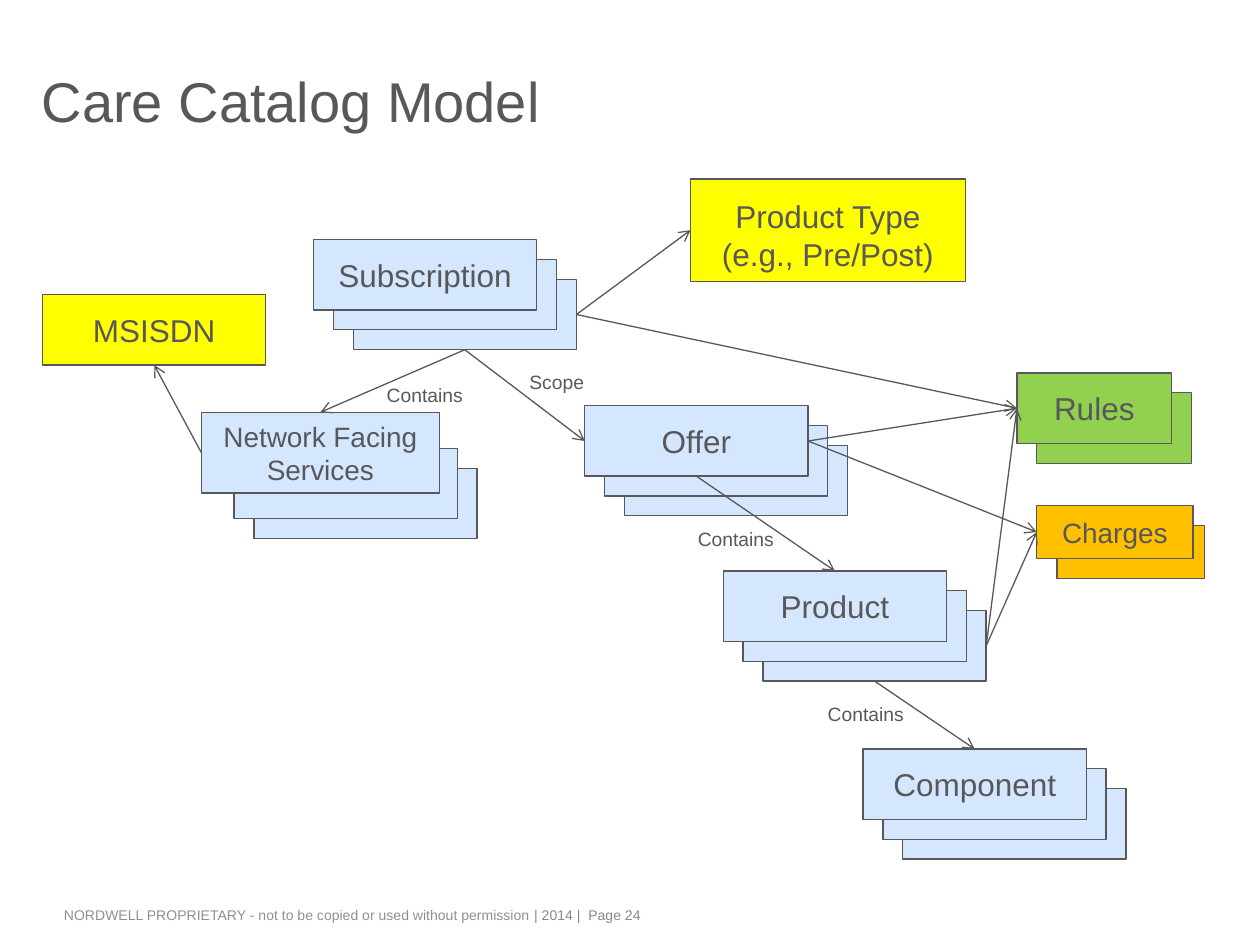
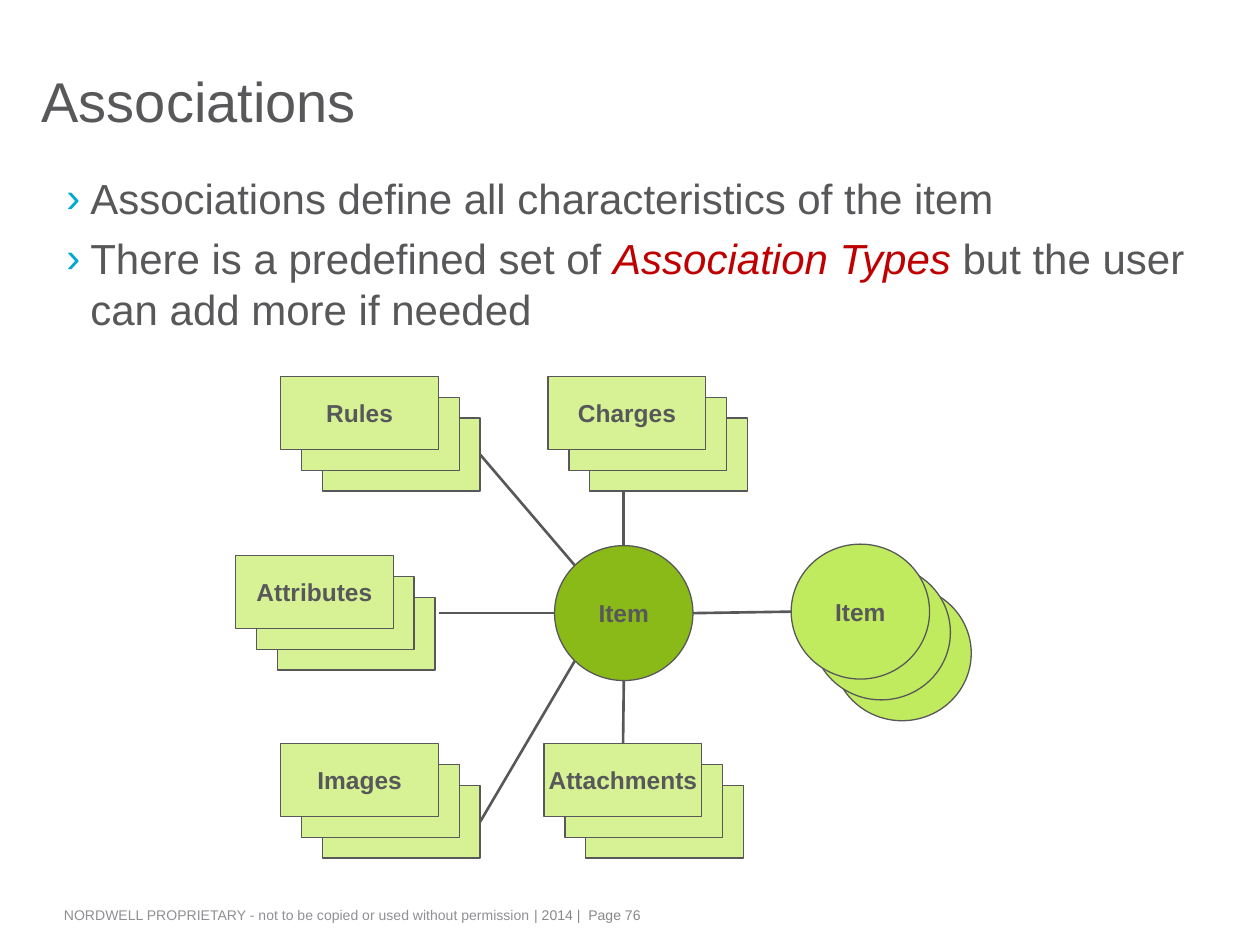
import math
from dataclasses import dataclass
from typing import NamedTuple, Optional, Union

from lxml import etree
from pptx import Presentation
from pptx import util as u
from pptx.dml.color import RGBColor
from pptx.enum import shapes, text
from pptx.oxml.ns import qn
from pptx.shapes.autoshape import Shape
from pptx.slide import Slide

FONT = "Arial"
INK = "58585A"
FOOTER_INK = "8F9093"
PAGE_INK = "87888A"
BULLET_INK = "00A9D4"
ACCENT = "C00000"
BLUE, YELLOW, GREEN, ORANGE = "D5E7FF", "FFFF00", "92D050", "FFC000"
LIME, LIGHT_GREEN, DARK_GREEN = "D6F294", "C1EB5E", "89BA17"
RECT, OVAL = shapes.MSO_SHAPE.RECTANGLE, shapes.MSO_SHAPE.OVAL
TOP, LEFT, BOTTOM, RIGHT = range(4)
TITLE_AND_BODY, TITLE_ONLY = 1, 5


class Box(NamedTuple):
    """Left, top, width and height in centimetres."""

    left: float
    top: float
    width: float
    height: float

    def lengths(self) -> tuple[u.Length, ...]:
        """Return the four values as lengths."""
        return tuple(u.Cm(value) for value in self)

    def shifted(self, step: float) -> "Box":
        """Return the box moved right and down by one step."""
        return self._replace(left=self.left + step, top=self.top + step)


@dataclass
class Stack:
    """A labelled card with further cards cascading behind it."""

    label: str
    front: Box
    fill: str
    count: int = 3
    step: float = 0.4
    size: float = 18
    bold: bool = False
    kind: shapes.MSO_SHAPE = RECT
    first_back: Optional[Box] = None


class DrawnStack(NamedTuple):
    """The front and rearmost cards of a drawn stack."""

    front: Shape
    back: Shape


class Joint(NamedTuple):
    """The middle of one side of a rectangle."""

    shape: Shape
    side: int


class Point(NamedTuple):
    """A free line end."""

    x: int
    y: int


class Note(NamedTuple):
    """A small caption beside a connector."""

    label: str
    left: float
    top: float


End = Union[Joint, Point]


def colour(value: str) -> RGBColor:
    """Turn a hex string into a colour."""
    return RGBColor.from_string(value)


def style_font(font, size: float, ink: str = INK, bold: bool = False) -> None:
    """Apply the deck font."""
    font.name, font.size, font.bold = FONT, u.Pt(size), bold
    font.color.rgb = colour(ink)


def set_frame(frame, anchor, side: float = 0, edge: float = 0) -> None:
    """Set wrapping, anchoring and insets of a text frame."""
    frame.word_wrap = True
    frame.auto_size = text.MSO_AUTO_SIZE.NONE
    frame.vertical_anchor = anchor
    frame.margin_left = frame.margin_right = u.Cm(side)
    frame.margin_top = frame.margin_bottom = u.Cm(edge)


def place(shape, box: Box) -> None:
    """Move and size a shape."""
    shape.left, shape.top, shape.width, shape.height = box.lengths()


def write_centred(shape: Shape, label: str, size: float, bold: bool = False) -> None:
    """Write a centred label in a shape."""
    set_frame(shape.text_frame, text.MSO_ANCHOR.MIDDLE)
    para = shape.text_frame.paragraphs[0]
    para.text = label
    para.alignment = text.PP_ALIGN.CENTER
    style_font(para.font, size, bold=bold)


def add_card(page: Slide, kind, box: Box, fill: str) -> Shape:
    """Draw one outlined card."""
    card = page.shapes.add_shape(kind, *box.lengths())
    card.shadow.inherit = False
    card.fill.solid()
    card.fill.fore_color.rgb = colour(fill)
    card.line.color.rgb = colour(INK)
    card.line.width = u.Pt(0.75)
    return card


def draw_stack(page: Slide, stack: Stack) -> DrawnStack:
    """Draw a stack from its rearmost card to its labelled front."""
    boxes = [stack.front]
    for index in range(1, stack.count):
        following = boxes[-1].shifted(stack.step)
        boxes.append(stack.first_back if index == 1 and stack.first_back else following)
    cards = [add_card(page, stack.kind, box, stack.fill) for box in reversed(boxes)]
    write_centred(cards[-1], stack.label, stack.size, stack.bold)
    return DrawnStack(cards[-1], cards[0])


def draw_line(page: Slide, start: End, end: End, width: float, arrow: bool = False) -> None:
    """Draw a straight connector between two joints or points."""
    line = page.shapes.add_connector(shapes.MSO_CONNECTOR.STRAIGHT, 0, 0, 0, 0)
    if isinstance(start, Joint):
        line.begin_connect(*start)
    else:
        line.begin_x, line.begin_y = start
    if isinstance(end, Joint):
        line.end_connect(*end)
    else:
        line.end_x, line.end_y = end
    line.line.color.rgb = colour(INK)
    line.line.width = u.Pt(width)
    if arrow:
        etree.SubElement(line.line._get_or_add_ln(), qn("a:tailEnd"), type="arrow")
    etree.SubElement(line._element.spPr, qn("a:effectLst"))


def rim(circle: Shape, degrees: float) -> Point:
    """Return the point of an ellipse at an angle clockwise from the right."""
    angle = math.radians(degrees)
    return Point(
        round(circle.left + circle.width / 2 * (1 + math.cos(angle))),
        round(circle.top + circle.height / 2 * (1 + math.sin(angle))),
    )


def add_note(page: Slide, note: Note) -> None:
    """Write a caption beside a connector."""
    box = page.shapes.add_textbox(*Box(note.left, note.top, 2.39, 0.74).lengths())
    write_centred(box, note.label, 11)


def add_page(deck, layout: int, title: str, number: int) -> Slide:
    """Add a slide with the shared title and footer."""
    page = deck.slides.add_slide(deck.slide_layouts[layout])
    heading = page.shapes.title
    place(heading, Box(0.64, 0.66, 20.83, 3.02))
    set_frame(heading.text_frame, text.MSO_ANCHOR.MIDDLE, side=0.2)
    para = heading.text_frame.paragraphs[0]
    para.text = title
    para.alignment = text.PP_ALIGN.LEFT
    para.line_spacing = 0.75
    style_font(para.font, 32)

    footer = page.shapes.add_textbox(*Box(1.09, 18.14, 20.55, 0.61).lengths())
    set_frame(footer.text_frame, text.MSO_ANCHOR.TOP, side=0.2, edge=0.13)
    para = footer.text_frame.paragraphs[0]
    notice = "NORDWELL PROPRIETARY - not to be copied or used without permission "
    for words, ink in ((notice, FOOTER_INK), (f"| 2014 |  Page {number}", PAGE_INK)):
        span = para.add_run()
        span.text = words
        style_font(span.font, 8, ink)
    return page


def add_bullet(para, spans: list[tuple[str, bool]]) -> None:
    """Write one bulleted paragraph, with its stressed spans in italic red."""
    para.space_before = u.Pt(5.5)
    style_font(para.font, 24)
    for words, stressed in spans:
        span = para.add_run()
        span.text = words
        if stressed:
            span.font.italic = True
            span.font.color.rgb = colour(ACCENT)
    properties = para._p.get_or_add_pPr()
    indent = u.Cm(0.48)
    properties.set("marL", str(indent))
    properties.set("indent", str(-indent))
    tint = etree.Element(qn("a:buClr"))
    etree.SubElement(tint, qn("a:srgbClr"), val=BULLET_INK)
    mark = etree.Element(qn("a:buChar"), char="›")
    position = len(properties.findall(qn("a:lnSpc")) + properties.findall(qn("a:spcBef")))
    properties.insert(position, tint)
    properties.insert(position + 1, mark)


def build_catalog(deck) -> None:
    """Build the catalog model slide."""
    page = add_page(deck, TITLE_ONLY, "Care Catalog Model", 24)

    def entity(label: str, left: float, top: float, fill: str = BLUE,
               width: float = 4.5, height: float = 1.42, **options) -> DrawnStack:
        """Draw one entity of the model."""
        return draw_stack(page, Stack(label, Box(left, top, width, height), fill, **options))

    offer = entity("Offer", 11.79, 8.18)
    product = entity("Product", 14.58, 11.51)
    component = entity("Component", 17.4, 15.1)
    rules = entity("Rules", 20.5, 7.52, GREEN, 3.12, count=2)
    charges = entity("Charges", 20.9, 10.19, ORANGE, 3.15, 1.07, count=2, size=16,
                     first_back=Box(21.31, 10.59, 2.97, 1.07))
    subscription = entity("Subscription", 6.32, 4.83)
    services = entity("Network Facing Services", 4.06, 8.31, width=4.8, height=1.63, size=16,
                      first_back=Box(4.72, 9.04, 4.5, 1.42))
    msisdn = entity("MSISDN", 0.86, 5.94, YELLOW, count=1)
    product_type = entity("Product Type\v(e.g., Pre/Post)", 13.92, 3.61, YELLOW, 5.54, 2.06,
                          count=1)
    product_type.front.text_frame.margin_top = u.Cm(0.2)

    for start, start_side, end, end_side in (
        (offer.front, BOTTOM, product, TOP),
        (product.back, BOTTOM, component, TOP),
        (offer.front, RIGHT, charges, LEFT),
        (offer.front, RIGHT, rules, LEFT),
        (subscription.back, BOTTOM, services, TOP),
        (services.front, LEFT, msisdn, BOTTOM),
        (subscription.back, BOTTOM, offer, LEFT),
        (subscription.back, RIGHT, product_type, LEFT),
        (subscription.back, RIGHT, rules, LEFT),
        (product.back, RIGHT, charges, LEFT),
        (product.back, RIGHT, rules, LEFT),
    ):
        draw_line(page, Joint(start, start_side), Joint(end.front, end_side), 0.75, arrow=True)

    for note in (Note("Scope", 10.03, 7.32), Note("Contains", 7.37, 7.59),
                 Note("Contains", 13.64, 10.49), Note("Contains", 16.26, 14.02)):
        add_note(page, note)


def build_associations(deck) -> None:
    """Build the associations slide."""
    page = add_page(deck, TITLE_AND_BODY, "Associations", 76)
    body = page.placeholders[1]
    place(body, Box(1.14, 3.48, 23.62, 13.72))
    set_frame(body.text_frame, text.MSO_ANCHOR.TOP, side=0.2)
    add_bullet(body.text_frame.paragraphs[0],
               [("Associations define all characteristics of the item", False)])
    add_bullet(body.text_frame.add_paragraph(),
               [("There is a predefined set of ", False), ("Association Types ", True),
                ("but the user can add more if needed", False)])

    def association(label: str, left: float, top: float, fill: str = LIME, width: float = 3.18,
                    height: float = 1.47, count: int = 3, kind=RECT) -> DrawnStack:
        """Draw one association stack."""
        return draw_stack(page, Stack(label, Box(left, top, width, height), fill, count,
                                      step=0.42, size=14, bold=True, kind=kind))

    hub = association("Item", 11.18, 11, DARK_GREEN, 2.79, 2.72, 1, OVAL).front
    items = association("Item", 15.95, 10.97, LIGHT_GREEN, 2.79, 2.72, kind=OVAL)
    charges = association("Charges", 11.05, 7.59)
    rules = association("Rules", 5.66, 7.59)
    association("Attributes", 4.75, 11.2)
    images = association("Images", 5.66, 14.99)
    attachments = association("Attachments", 10.97, 14.99)

    above, beside = rim(hub, 270), rim(hub, 180)
    for degrees, end in (
        (0, rim(items.front, 180)),
        (270, Point(above.x, charges.back.top + charges.back.height)),
        (90, Joint(attachments.front, TOP)),
        (225, Joint(rules.back, RIGHT)),
        (180, Point(u.Cm(8.84), beside.y)),
        (135, Joint(images.back, RIGHT)),
    ):
        draw_line(page, rim(hub, degrees), end, 1.5)


def main() -> None:
    """Build and save the deck."""
    deck = Presentation()
    deck.slide_width, deck.slide_height = u.Cm(25.4), u.Cm(19.05)
    build_catalog(deck)
    build_associations(deck)
    deck.save("out.pptx")


if __name__ == "__main__":
    main()
